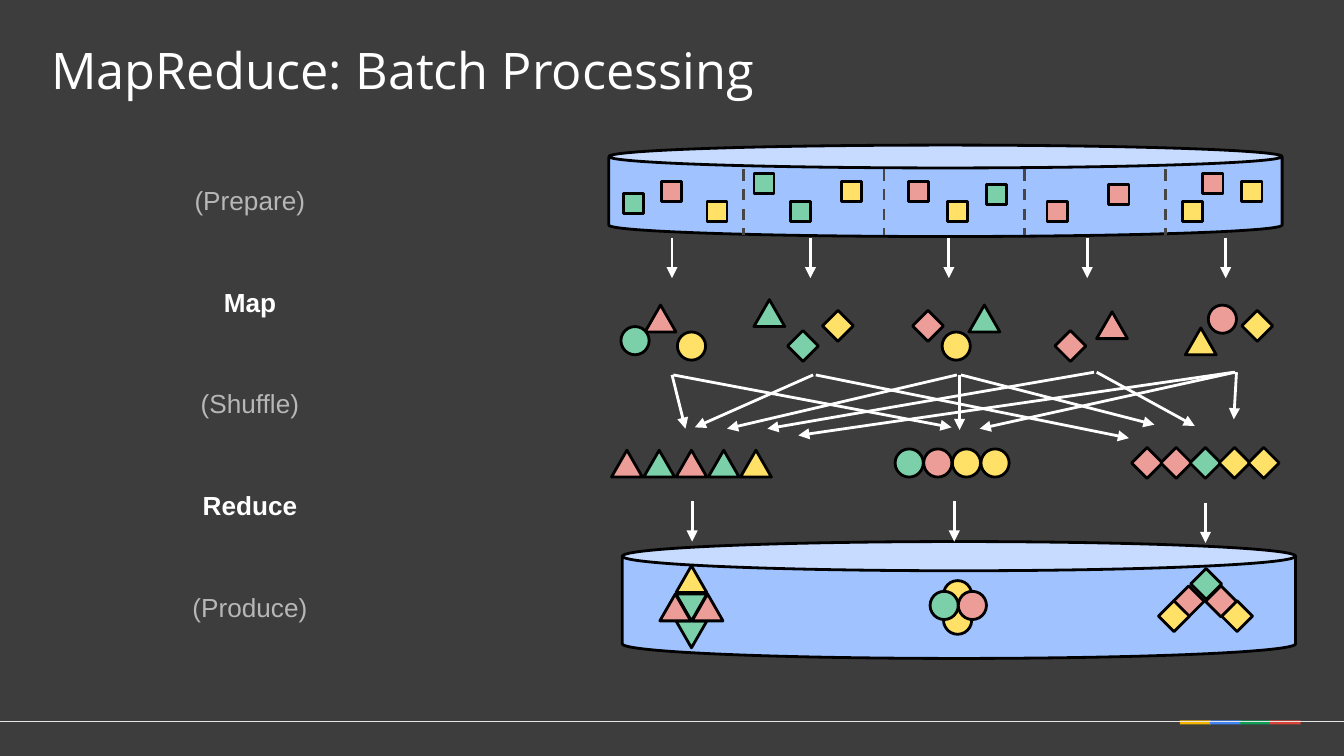
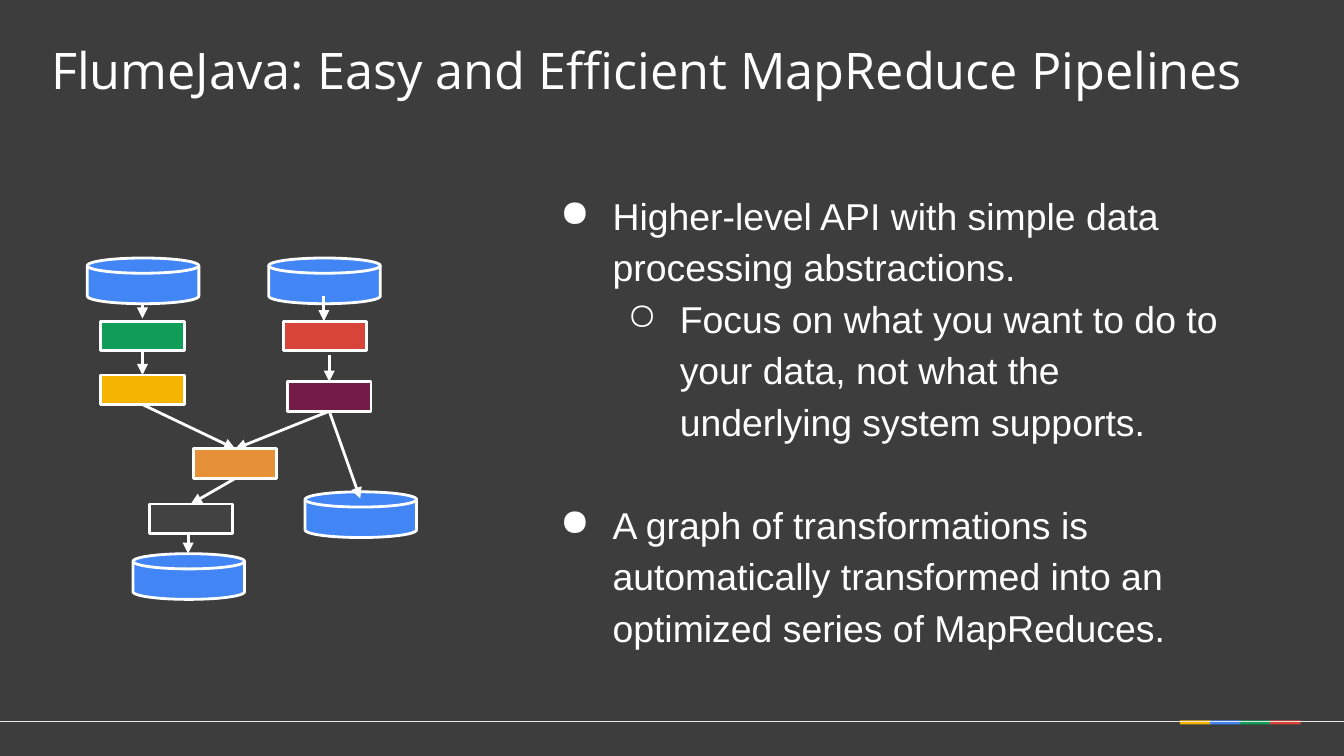
from lxml import etree
from pptx import Presentation
from pptx.dml.color import RGBColor
from pptx.enum.dml import MSO_LINE
from pptx.enum.shapes import MSO_CONNECTOR, MSO_SHAPE
from pptx.enum.text import MSO_ANCHOR, PP_ALIGN
from pptx.oxml.ns import qn
from pptx.util import Inches, Pt

STRAIGHT, DASH = MSO_CONNECTOR.STRAIGHT, MSO_LINE.DASH
LEFT, CENTER = PP_ALIGN.LEFT, PP_ALIGN.CENTER
TOP, MIDDLE = MSO_ANCHOR.TOP, MSO_ANCHOR.MIDDLE
RECTANGLE, ROUNDED = MSO_SHAPE.RECTANGLE, MSO_SHAPE.ROUNDED_RECTANGLE
CAN, DISK = MSO_SHAPE.CAN, MSO_SHAPE.FLOWCHART_MAGNETIC_DISK
CIRCLE, DIAMOND = MSO_SHAPE.OVAL, MSO_SHAPE.DIAMOND
TRIANGLE = MSO_SHAPE.ISOSCELES_TRIANGLE

COLUMNS, ROWS = 100, 56.25
WHITE, BLACK, GRAY, DARK = "FFFFFF", "000000", "B7B7B7", "3D3D3D"
YELLOW, BLUE, GREEN, RED = "F4B400", "4285F4", "0F9D58", "D84437"
ITEM_COLORS = {"R": "ED9D97", "G": "7BCFA9", "Y": "FFE168"}
ITEM_SIZES = {RECTANGLE: (1.5, 1.5), CIRCLE: (2.1, 2.1),
              TRIANGLE: (2.3, 2), DIAMOND: (2.3, 2.3)}


def color(value):
    """Turn a hex string into a colour."""
    return RGBColor.from_string(value)


def assign(target, formats):
    """Set every attribute named in formats on the target."""
    for name, value in formats.items():
        setattr(target, name, value)


class Painter:
    """Holds the shared style and draws on the current slide."""

    def __init__(self):
        """Open a deck with a dark background."""
        self.deck = Presentation()
        assign(self.deck, {"slide_width": Inches(10), "slide_height": Inches(5.625)})
        fill = self.deck.slide_master.background.fill
        fill.solid()
        fill.fore_color.rgb = color(DARK)
        self.page = None

    def x(self, columns):
        """Convert grid columns to a length."""
        return round(self.deck.slide_width * columns / COLUMNS)

    def y(self, rows):
        """Convert grid rows to a length."""
        return round(self.deck.slide_height * rows / ROWS)

    def place(self, left, top, width, height):
        """Convert a grid area to lengths."""
        return self.x(left), self.y(top), self.x(width), self.y(height)

    def new_page(self, title, width):
        """Add a slide with its title and footer."""
        self.page = self.deck.slides.add_slide(self.deck.slide_layouts[5])
        for index, shade in enumerate((YELLOW, BLUE, GREEN, RED)):
            self.shape(RECTANGLE, (87.8 + 2.23 * index, 53.6, 2.3, 0.3), shade, None)
        self.line((100, 53.7), (0, 53.7), "E6E6E6", 0.75)
        box = self.page.shapes.title
        assign(box, dict(zip(("left", "top", "width", "height"),
                             self.place(3.1, 2, width, 6.3))))
        self.frame(box, 0.7, 0.4, MIDDLE)
        self.add_span(box.text_frame.paragraphs[0], title, 27, "Open Sans")

    def frame(self, box, side, edge, anchor):
        """Set the margins, anchor and wrapping of a box."""
        assign(box.text_frame, {
            "margin_left": self.x(side), "margin_right": self.x(side),
            "margin_top": self.y(edge), "margin_bottom": self.y(edge),
            "vertical_anchor": anchor, "word_wrap": True})

    def add_span(self, para, words, size, font="Arial", shade=WHITE, bold=False, align=LEFT):
        """Fill a paragraph with one formatted span."""
        para.alignment = align
        span = para.add_run()
        span.text = words
        assign(span.font, {"size": Pt(size), "name": font, "bold": bold})
        span.font.color.rgb = color(shade)

    def text_box(self, area, anchor=TOP):
        """Add an empty text box."""
        box = self.page.shapes.add_textbox(*self.place(*area))
        self.frame(box, 1, 1, anchor)
        return box.text_frame

    def shape(self, kind, area, shade, outline=BLACK, rotation=0):
        """Add a filled preset shape."""
        shape = self.page.shapes.add_shape(kind, *self.place(*area))
        shape.shadow.inherit = False
        shape.rotation = rotation
        shape.fill.solid()
        shape.fill.fore_color.rgb = color(shade)
        if outline:
            shape.line.color.rgb = color(outline)
            shape.line.width = Pt(1.5)
        else:
            shape.line.fill.background()
        return shape

    def items(self, kind, places):
        """Add data items of one kind, each with column, row, colour and rotation."""
        for left, top, key, *rotation in places:
            self.shape(kind, (left, top, *ITEM_SIZES[kind]), ITEM_COLORS[key], BLACK, *rotation)

    def line(self, start, end, shade=WHITE, width=1.5, dash=None):
        """Add a straight line."""
        line = self.page.shapes.add_connector(
            STRAIGHT, self.x(start[0]), self.y(start[1]), self.x(end[0]), self.y(end[1]))
        line.line.color.rgb = color(shade)
        assign(line.line, {"width": Pt(width), "dash_style": dash})
        etree.SubElement(line._element.spPr, qn("a:effectLst"))
        return line

    def arrow(self, start, end):
        """Add a line with an arrowhead at its end."""
        outline = self.line(start, end).line._get_or_add_ln()
        etree.SubElement(outline, qn("a:tailEnd"), type="triangle")

    def bullets(self, area, entries):
        """Add a list of (level, space before, words)."""
        frame = self.text_box(area, MIDDLE)
        for index, (level, space, words) in enumerate(entries):
            para = frame.paragraphs[0] if index == 0 else frame.add_paragraph()
            properties = para._p.get_or_add_pPr()
            properties.set("marL", str(self.x(5 + 5 * level)))
            properties.set("indent", str(self.x(-3.9)))
            shade = etree.SubElement(properties, qn("a:buClr"))
            etree.SubElement(shade, qn("a:srgbClr"), val=WHITE)
            etree.SubElement(properties, qn("a:buChar"), char="●○"[level])
            assign(para, {"level": level, "line_spacing": 1.15, "space_before": Pt(space)})
            self.add_span(para, words, 20)


def draw_batch(painter):
    """Draw the stages of a batch run."""
    painter.new_page("MapReduce: Batch Processing", 74.8)
    stages = (("(Prepare)", 15.6), ("Map", 12.5), ("(Shuffle)", 14.6),
              ("Reduce", 12.5), ("(Produce)", 17.8))
    for index, (name, width) in enumerate(stages):
        frame = painter.text_box((18.6 - width / 2, 12.7 + 7.57 * index, width, 4.1))
        bold = not name.startswith("(")
        painter.add_span(frame.paragraphs[0], name, 14, shade=WHITE if bold else GRAY,
                         bold=bold, align=CENTER)
    for area in ((46.3, 40.3, 50.1, 8.7), (45.3, 10.8, 50.1, 6.8)):
        painter.shape(CAN, area, "A0C3FF").adjustments[0] = 0.25
    for index in range(4):
        column = 55.3 + 10.47 * index
        painter.line((column, 12.6), (column, 17.5), "464646", dash=DASH)

    painter.items(RECTANGLE, (
        (46.4, 14.4, "G"), (49.2, 13.5, "R"), (52.6, 15, "Y"), (56.1, 12.9, "G"),
        (58.8, 15, "G"), (62.6, 13.5, "Y"), (67.6, 13.5, "R"), (70.5, 15, "Y"),
        (73.4, 13.7, "G"), (77.9, 15, "R"), (82.5, 13.7, "R"), (88, 15, "Y"),
        (89.5, 12.9, "R"), (92.4, 13.5, "Y")))
    painter.items(TRIANGLE, (
        (48, 22.7, "R"), (56.1, 22.3, "G"), (72.1, 22.7, "G"), (81.6, 23.2, "R"),
        (88.2, 24.4, "Y")))
    painter.items(CIRCLE, (
        (50.4, 24.7, "Y"), (46.2, 24.3, "G"), (70.1, 24.7, "Y"), (89.9, 22.7, "R")))
    painter.items(DIAMOND, (
        (58.6, 24.6, "G"), (61.2, 23.1, "Y"), (67.9, 23.1, "R"), (78.5, 24.6, "R"),
        (92.4, 23.1, "Y")))

    shuffled = ((TRIANGLE, 45.5, 2.4, 33.5, "RGRGY"), (CIRCLE, 66.6, 2.13, 33.4, "GRYY"),
                (DIAMOND, 84.2, 2.17, 33.3, "RRGYY"))
    for kind, left, step, top, keys in shuffled:
        painter.items(kind, [(left + step * index, top, key) for index, key in enumerate(keys)])

    painter.items(TRIANGLE, (
        (50.3, 44.2, "G", 180), (50.3, 42.1, "Y"), (50.3, 46.2, "G", 180),
        (49.1, 44.2, "R"), (51.5, 44.2, "R")))
    painter.items(CIRCLE, (
        (70.2, 43.2, "Y"), (70.2, 45.1, "Y"), (69.2, 44, "G"), (71.3, 44, "R")))
    painter.items(DIAMOND, (
        (88.6, 42.3, "G"), (90.9, 44.7, "Y"), (87.3, 43.6, "R"), (86.2, 44.7, "Y"),
        (89.7, 43.6, "R")))

    falls = [(50 + 10.3 * index, 17.7) for index in range(5)]
    for column, row in falls + [(51.5, 37.3), (71, 37.3), (89.7, 37.4)]:
        painter.arrow((column, row), (column, row + 3))
    for start, end in (
            ((50.1, 27.9), (70.8, 31.8)), ((71.4, 27.9), (71.4, 32)),
            ((91.9, 27.7), (72.9, 31.9)), ((71.5, 27.9), (85.9, 31.6)),
            ((81.6, 27.7), (88.9, 31.7)), ((92, 27.7), (91.8, 31.2)),
            ((60.7, 27.9), (84, 32.6)), ((50, 27.9), (51, 31.9)),
            ((60.5, 27.9), (51.7, 31.8)), ((71.2, 27.9), (54.1, 31.9)),
            ((81.4, 27.7), (57.1, 31.9)), ((91.8, 27.7), (59.4, 32.4))):
        painter.arrow(start, end)


def draw_pipelines(painter):
    """Draw a pipeline graph beside its description."""
    painter.new_page("FlumeJava: Easy and Efficient MapReduce Pipelines", 94.2)
    for start, end in (
            ((10.6, 30.1), (17.5, 33.4)), ((24.5, 26.4), (24.5, 28.4)),
            ((24.5, 30.6), (17.5, 33.4)), ((17.5, 35.6), (14.2, 37.5)),
            ((10.6, 26.1), (10.6, 27.9)), ((10.6, 22.2), (10.6, 23.7)),
            ((14, 39.8), (14, 41.2))):
        painter.arrow(start, end)
    for left, top, shade in (
            (21.1, 23.9, RED), (21.4, 28.4, "741B47"), (14.4, 33.4, "E69138"),
            (11.1, 37.5, "424242"), (7.5, 23.9, GREEN), (7.5, 27.9, YELLOW)):
        painter.shape(ROUNDED, (left, top, 6.2, 2.2), shade, WHITE).adjustments[0] = 0
    for left, top in ((6.5, 19.2), (9.9, 41.2), (20, 19.2), (22.7, 36.6)):
        painter.shape(DISK, (left, top, 8.3, 3.4), BLUE, WHITE)
    painter.arrow((24.1, 22), (24.1, 23.9))
    painter.arrow((24.5, 30.6), (26.8, 37.1))
    painter.bullets((39.6, 12.9, 52.4, 36.4), (
        (0, 0, "Higher-level API with simple data processing abstractions."),
        (1, 0, "Focus on what you want to do to your data, not what the "
               "underlying system supports."),
        (0, 27.6, "A graph of transformations is automatically transformed into an "
                  "optimized series of MapReduces.")))


def main():
    """Build and save the deck."""
    painter = Painter()
    draw_batch(painter)
    draw_pipelines(painter)
    painter.deck.save("out.pptx")


if __name__ == "__main__":
    main()
